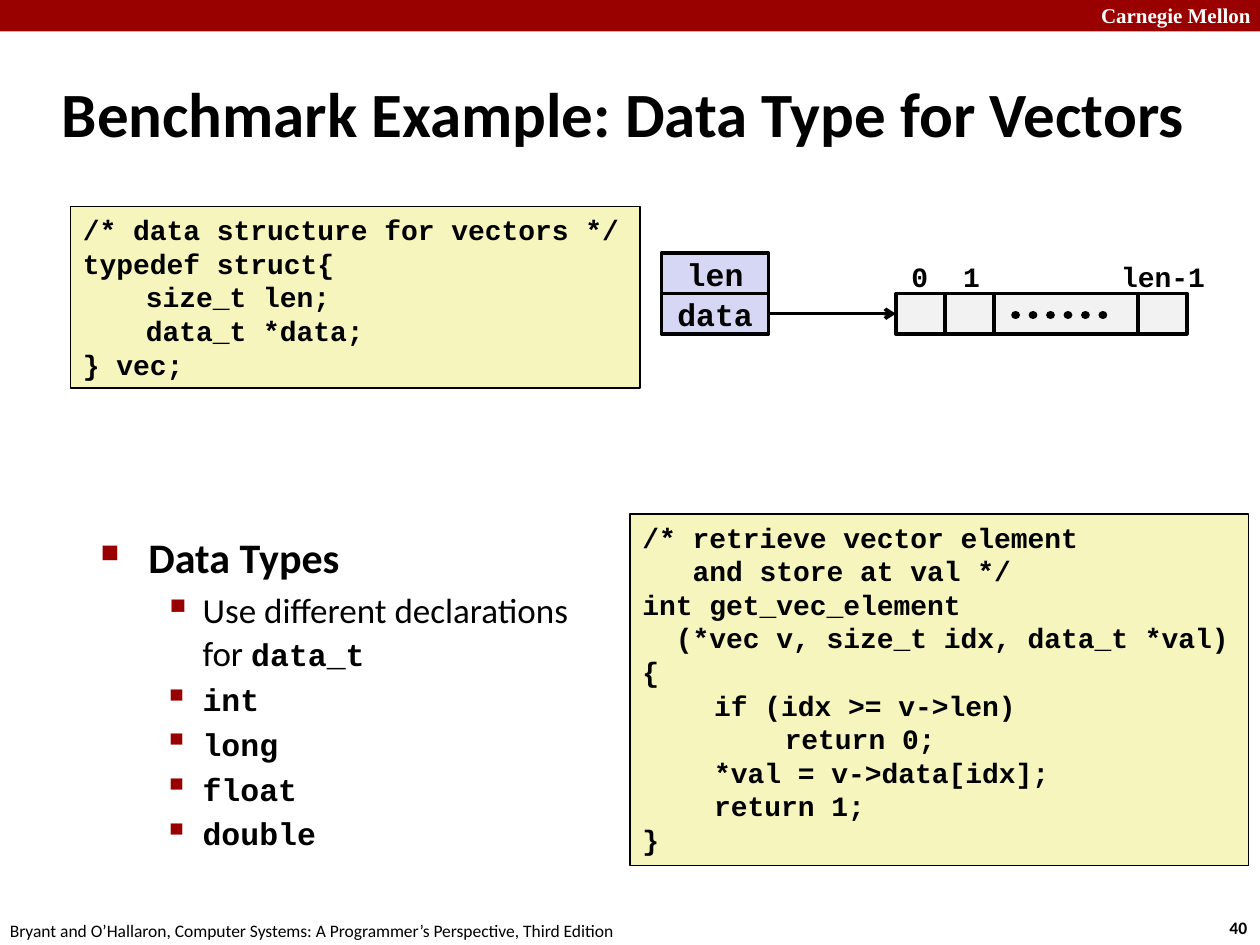
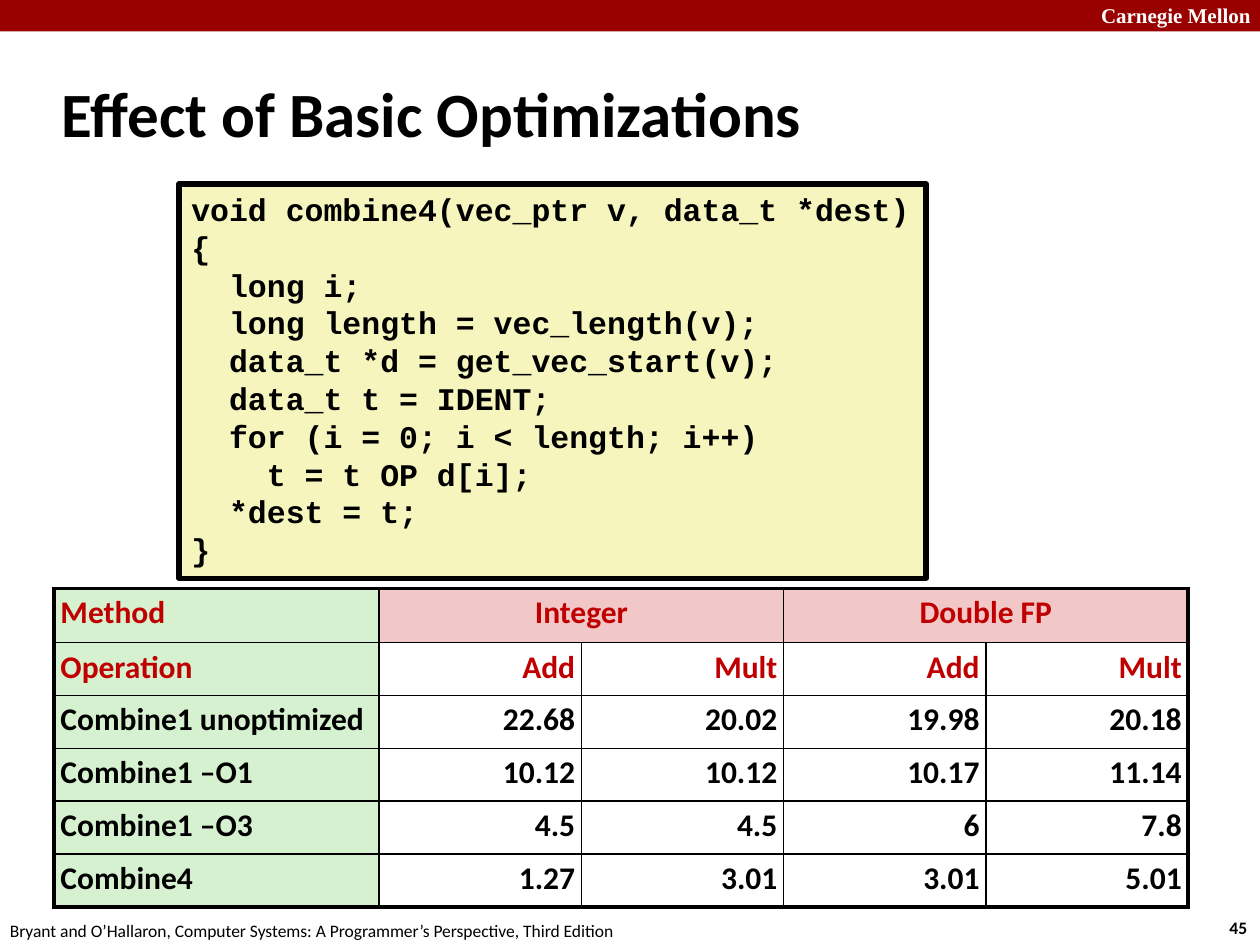
from itertools import accumulate

from lxml import etree
from pptx import Presentation
from pptx.dml.color import RGBColor
from pptx.enum.dml import MSO_LINE
from pptx.enum.shapes import MSO_CONNECTOR, MSO_SHAPE
from pptx.enum.text import MSO_ANCHOR, MSO_AUTO_SIZE, PP_ALIGN
from pptx.oxml.ns import qn
from pptx.util import Inches, Pt

RECTANGLE = MSO_SHAPE.RECTANGLE
STRAIGHT = MSO_CONNECTOR.STRAIGHT
ROUND_DOT = MSO_LINE.ROUND_DOT
TOP, MIDDLE = MSO_ANCHOR.TOP, MSO_ANCHOR.MIDDLE
GROW, FIXED = MSO_AUTO_SIZE.SHAPE_TO_FIT_TEXT, MSO_AUTO_SIZE.NONE
LEFT, CENTER, RIGHT = PP_ALIGN.LEFT, PP_ALIGN.CENTER, PP_ALIGN.RIGHT

COLORS = {
    "band": "990000", "white": "FFFFFF", "black": "000000", "code": "F6F5BD",
    "field": "D6D6F5", "element": "F2F2F2", "method": "D5F1CF",
    "type": "F1C7C7", "heading": "C00000",
}
SANS, MONO, SERIF = "Calibri", "Courier New", "Times New Roman"

SCHOOL = "Carnegie Mellon"
BOOK = "Bryant and O’Hallaron, Computer Systems: A Programmer’s Perspective, Third Edition"

VECTOR_TITLE = "Benchmark Example: Data Type for Vectors"
VECTOR_STRUCT = [
    "/* data structure for vectors */",
    "typedef struct{",
    "\tsize_t len;",
    "\tdata_t *data;",
    "} vec;",
]
GET_ELEMENT = [
    "/* retrieve vector element",
    "   and store at val */",
    "int get_vec_element",
    "  (*vec v, size_t idx, data_t *val)",
    "{",
    "\tif (idx >= v->len)",
    "\t\treturn 0;",
    "\t*val = v->data[idx];",
    "\treturn 1;",
    "}",
]
VECTOR_FIELDS = ["len", "data"]
ELEMENT_WIDTHS = [0.39, 0.39, 1.14, 0.39]
INDEX_LABELS = [("0", 7.13, 0.34), ("1", 7.54, 0.34), ("len-1", 8.79, 0.88)]
TYPES_HEADING = "Data Types"
TYPES_ADVICE = "Use different declarations for "
TYPE_PLACEHOLDER = "data_t"
TYPES = ["int", "long", "float", "double"]

EFFECT_TITLE = "Effect of Basic Optimizations"
COMBINE4 = [
    "void combine4(vec_ptr v, data_t *dest)",
    "{",
    "  long i;",
    "  long length = vec_length(v);",
    "  data_t *d = get_vec_start(v);",
    "  data_t t = IDENT;",
    "  for (i = 0; i < length; i++)",
    "    t = t OP d[i];",
    "  *dest = t;",
    "}",
]
TIMINGS = [
    ["Method", "Integer", "", "Double FP", ""],
    ["Operation", "Add", "Mult", "Add", "Mult"],
    ["Combine1 unoptimized", "22.68", "20.02", "19.98", "20.18"],
    ["Combine1 –O1", "10.12", "10.12", "10.17", "11.14"],
    ["Combine1 –O3", "4.5", "4.5", "6", "7.8"],
    ["Combine4", "1.27", "3.01", "3.01", "5.01"],
]


def rgb(name):
    return RGBColor.from_string(COLORS[name])


def place(at):
    return [Inches(length) for length in at]


def write(paragraph, text, size, font=SANS, bold=True, color="black"):
    run = paragraph.add_run()
    run.text = text
    run.font.name = font
    run.font.size = Pt(size)
    run.font.bold = bold
    run.font.color.rgb = rgb(color)


def paragraphs(frame, count):
    return [frame.paragraphs[0]] + [frame.add_paragraph() for _ in range(count - 1)]


def indent(paragraph, margin, hanging):
    properties = paragraph._p.get_or_add_pPr()
    properties.set("marL", str(Inches(margin)))
    properties.set("indent", str(-Inches(hanging)))
    return properties


def add_bullet(paragraph, char, percent, margin, hanging):
    properties = indent(paragraph, margin, hanging)
    color = etree.SubElement(properties, qn("a:buClr"))
    etree.SubElement(color, qn("a:srgbClr"), val=COLORS["band"])
    etree.SubElement(properties, qn("a:buSzPct"), val=str(percent * 1000))
    etree.SubElement(properties, qn("a:buChar"), char=char)


def add_tabs(paragraph, stops):
    tabs = etree.SubElement(paragraph._p.get_or_add_pPr(), qn("a:tabLst"))
    for stop in stops:
        etree.SubElement(tabs, qn("a:tab"), pos=str(Inches(stop)), algn="l")


def add_label(slide, at, text, size, wrap=False, align=LEFT, **style):
    frame = slide.shapes.add_textbox(*place(at)).text_frame
    frame.word_wrap = wrap
    frame.auto_size = GROW
    frame.paragraphs[0].alignment = align
    write(frame.paragraphs[0], text, size, **style)


def add_box(slide, at, fill, line_width=0):
    box = slide.shapes.add_shape(RECTANGLE, *place(at))
    box.shadow.inherit = False
    box.fill.solid()
    box.fill.fore_color.rgb = rgb(fill)
    if line_width:
        box.line.color.rgb = rgb("black")
        box.line.width = Pt(line_width)
    else:
        box.line.fill.background()
    return box


def add_code(slide, at, lines, size, line_width, stops):
    frame = add_box(slide, at, "code", line_width).text_frame
    frame.word_wrap = False
    frame.auto_size = GROW
    frame.vertical_anchor = TOP
    for paragraph, line in zip(paragraphs(frame, len(lines)), lines):
        paragraph.alignment = LEFT
        add_tabs(paragraph, stops)
        write(paragraph, line, size, MONO)


def add_line(slide, start, end, width):
    line = slide.shapes.add_connector(STRAIGHT, *place(start + end))
    line.line.color.rgb = rgb("black")
    line.line.width = Pt(width)
    etree.SubElement(line._element.spPr, qn("a:effectLst"))
    return line


def add_slide(deck, title, title_width, number):
    slide = deck.slides.add_slide(deck.slide_layouts[5])
    add_box(slide, (0, 0, 10, 0.25), "band")
    add_label(slide, (8.64, -0.03, 1.43, 0.3), SCHOOL, 12, True, font=SERIF, color="white")
    add_label(slide, (9.66, 7.23, 0.37, 0.27), number, 10)
    add_label(slide, (-0.02, 7.25, 5.08, 0.27), BOOK, 10, bold=False)
    heading = slide.shapes.title
    heading.left, heading.top, heading.width, heading.height = place((0.39, 0.48, title_width, 0.83))
    frame = heading.text_frame
    frame.word_wrap = True
    frame.auto_size = FIXED
    frame.vertical_anchor = MIDDLE
    frame.paragraphs[0].alignment = LEFT
    indent(frame.paragraphs[0], 0.13, 0.13)
    write(frame.paragraphs[0], title, 36)
    return slide


def add_vector(slide):
    row_top, row_height = 2.33, 0.32
    for index, name in enumerate(VECTOR_FIELDS):
        top = row_top + (index - 1) * row_height
        field = add_box(slide, (5.25, top, 0.85, row_height), "field", 2)
        frame = field.text_frame
        frame.word_wrap = False
        frame.vertical_anchor = MIDDLE
        frame.paragraphs[0].alignment = CENTER
        write(frame.paragraphs[0], name, 18, MONO)
    lefts = accumulate(ELEMENT_WIDTHS, initial=7.11)
    elements = [add_box(slide, (left, row_top, width, row_height), "element", 2)
                for left, width in zip(lefts, ELEMENT_WIDTHS)]

    pointer = add_line(slide, (6.1, 2.49), (7.11, 2.49), 2)
    pointer.begin_connect(field, 3)
    pointer.end_connect(elements[0], 1)
    etree.SubElement(pointer.get_or_add_ln(), qn("a:tailEnd"), type="arrow")
    ellipsis = add_line(slide, (8.06, 2.5), (8.86, 2.5), 5)
    ellipsis.line.dash_style = ROUND_DOT
    ellipsis.get_or_add_ln().set("cap", "rnd")
    for label, left, width in INDEX_LABELS:
        add_label(slide, (left, 2.01, width, 0.37), label, 16, align=CENTER, font=MONO)


def add_types(slide):
    frame = slide.shapes.add_textbox(*place((0.7, 4.17, 4.23, 2.43))).text_frame
    frame.word_wrap = True
    heading, *items = paragraphs(frame, len(TYPES) + 2)
    add_bullet(heading, "■", 60, 0.38, 0.38)
    write(heading, TYPES_HEADING, 24)
    for item in items:
        item.level = 1
        add_bullet(item, "▪", 110, 0.81, 0.31)
        item.space_before = Pt(4)
    write(items[0], TYPES_ADVICE, 20, bold=False)
    for item, name in zip(items, [TYPE_PLACEHOLDER] + TYPES):
        write(item, name, 18, MONO)


def add_borders(cell, outer_sides):
    properties = cell._tc.get_or_add_tcPr()
    for side in "LRTB":
        width = Pt(2.25 if side in outer_sides else 1)
        line = etree.SubElement(properties, qn(f"a:ln{side}"), w=str(width))
        fill = etree.SubElement(line, qn("a:solidFill"))
        etree.SubElement(fill, qn("a:srgbClr"), val=COLORS["black"])


def add_timings(slide):
    last_row, last_column = len(TIMINGS) - 1, len(TIMINGS[0]) - 1
    table_width, method_width = 9, 2.58
    table = slide.shapes.add_table(
        last_row + 1, last_column + 1, *place((0.43, 4.67, table_width, 2.55))).table
    table.first_row = table.horz_banding = False
    for index, column in enumerate(table.columns):
        column.width = Inches((table_width - method_width) / last_column if index else method_width)
    for index, row in enumerate(table.rows):
        row.height = Inches(0.42 if index else 0.43)
    for r, values in enumerate(TIMINGS):
        for c, value in enumerate(values):
            cell = table.cell(r, c)
            edges = {"L": c == 0, "R": c == last_column, "T": r == 0, "B": r == last_row}
            if r == 0 and c in (1, 3):
                cell.merge(table.cell(r, c + 1))
                edges["R"] = c + 1 == last_column
            add_borders(cell, [side for side, outer in edges.items() if outer])
            if c == 0 or r == 0:
                cell.fill.solid()
                cell.fill.fore_color.rgb = rgb("type" if c else "method")
            else:
                cell.fill.background()
            cell.margin_left = cell.margin_right = Inches(0.05)
            cell.margin_top = cell.margin_bottom = Inches(0.05)
            if value:
                paragraph = cell.text_frame.paragraphs[0]
                paragraph.alignment = LEFT if c == 0 else RIGHT if r else CENTER
                paragraph.line_spacing = 0.95
                write(paragraph, value, 18, color="heading" if r < 2 else "black")


def main():
    deck = Presentation()
    deck.slide_width, deck.slide_height = Inches(10), Inches(7.5)

    vectors = add_slide(deck, VECTOR_TITLE, 9.44, "40")
    add_code(vectors, (0.56, 1.64, 4.52, 1.44), VECTOR_STRUCT, 16, 1, [0.5])
    add_code(vectors, (5, 4.08, 4.91, 2.79), GET_ELEMENT, 16, 1, [0.57, 1.13])
    add_vector(vectors)
    add_types(vectors)

    effect = add_slide(deck, EFFECT_TITLE, 8.3, "45")
    add_code(effect, (1.42, 1.46, 5.93, 3.13), COMBINE4, 18, 3, [1, 2.5])
    add_timings(effect)

    deck.save("out.pptx")


if __name__ == "__main__":
    main()
